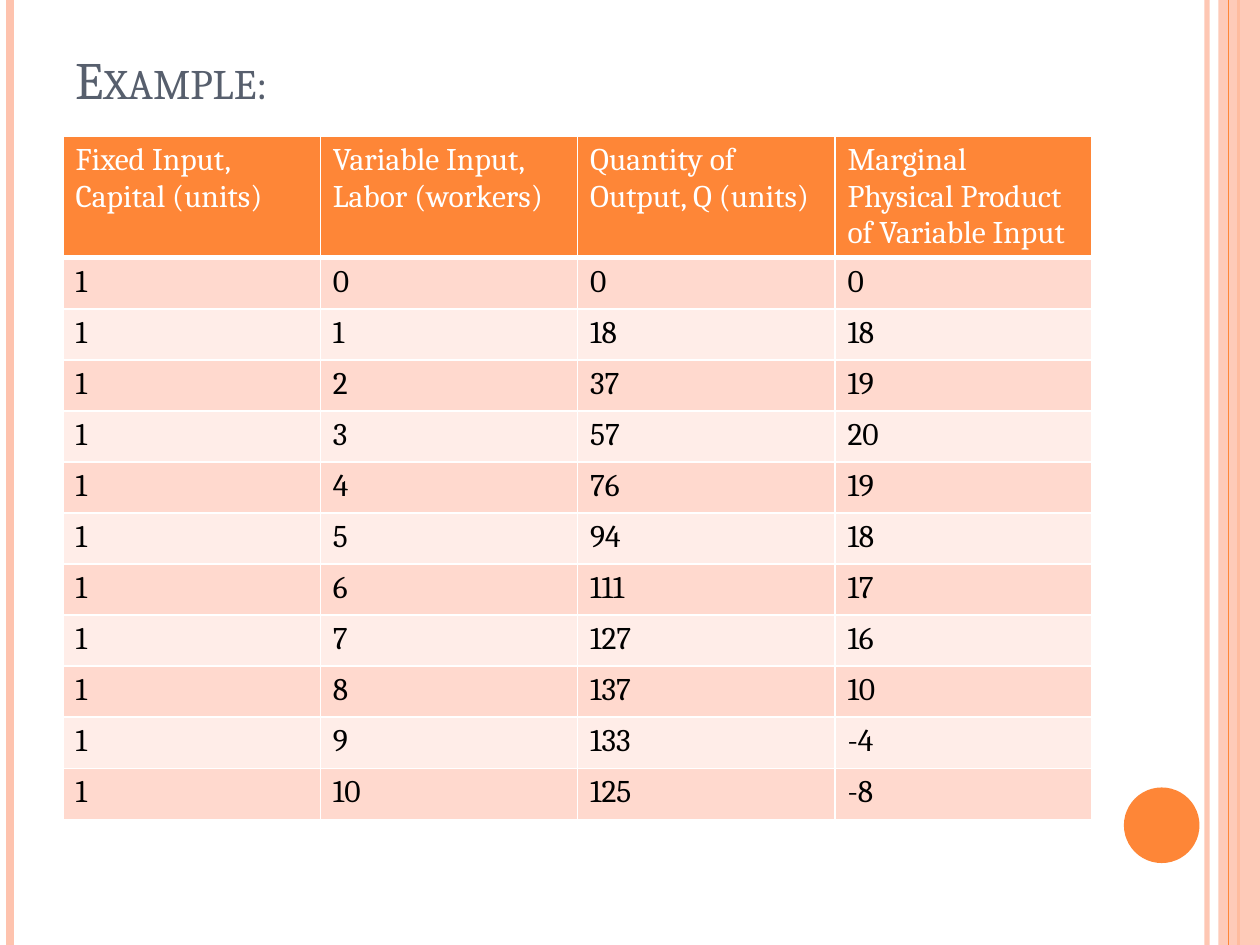
from lxml import etree
from pptx import Presentation
from pptx.dml.color import RGBColor
from pptx.enum.shapes import MSO_CONNECTOR, MSO_SHAPE
from pptx.enum.text import MSO_ANCHOR, PP_ALIGN
from pptx.oxml.ns import qn
from pptx.util import Inches, Pt

FONT = "Cambria"
ORANGE, PEACH, WHITE = "FE8637", "FEC3AE", "FFFFFF"
BANDS = ("FFD9CE", "FFEDE8")
HEADERS = (
    "Fixed Input, Capital (units)",
    "Variable Input, Labor (workers)",
    "Quantity of Output, Q (units)",
    "Marginal Physical Product of Variable Input",
)
OUTPUTS = (0, 18, 37, 57, 76, 94, 111, 127, 137, 133, 125)
MARGINALS = (0, 18, 19, 20, 19, 18, 17, 16, 10, -4, -8)


def rgb(color):
    return RGBColor.from_string(color)


def set_fill(obj, color):
    obj.fill.solid()
    obj.fill.fore_color.rgb = rgb(color)


def set_alpha(fill, percent):
    """Make a solid fill element partly transparent."""
    etree.SubElement(fill[0], qn("a:alpha"), val=str(percent * 1000))


def set_font(p, size, color):
    p.font.name = FONT
    p.font.size = Pt(size)
    p.font.color.rgb = rgb(color)


def add_rule(slide, x, top, height, color, width):
    """Draw a vertical line at x."""
    line = slide.shapes.add_connector(
        MSO_CONNECTOR.STRAIGHT, x, top, x, top + height)
    line.line.color.rgb = rgb(color)
    line.line.width = Pt(width)
    etree.SubElement(line._element.spPr, qn("a:effectLst"))
    return line


def add_solid(slide, shape, left, top, width, height, color):
    sp = slide.shapes.add_shape(shape, left, top, width, height)
    sp.shadow.inherit = False
    set_fill(sp, color)
    sp.line.fill.background()
    return sp


def add_frame(slide, left, top, width, height):
    """Draw the side rules, the right-hand band and the circle."""
    right = left + width
    soft = add_rule(slide, right - Inches(0.42), top, height, PEACH, 3)
    set_alpha(soft.line._ln.find(qn("a:solidFill")), 93)
    add_rule(slide, left + Inches(0.08), top, height, PEACH, 4.5)
    add_rule(slide, right - Inches(0.17), top, height, ORANGE, 1.5)
    band = add_solid(slide, MSO_SHAPE.RECTANGLE, right - Inches(0.33), top,
                     Inches(0.33), height, PEACH)
    set_alpha(band._element.spPr.find(qn("a:solidFill")), 87)
    add_rule(slide, right - Inches(0.25), top, height, ORANGE, 0.75)
    size = Inches(0.6)
    add_solid(slide, MSO_SHAPE.OVAL, right - Inches(1.08),
              top + height - Inches(1.25), size, size, ORANGE)


def place_title(slide, text, left, top, width, height):
    title = slide.shapes.title
    title.left, title.top, title.width, title.height = left, top, width, height
    tf = title.text_frame
    tf.text = text
    tf.word_wrap = True
    tf.vertical_anchor = MSO_ANCHOR.BOTTOM
    p = tf.paragraphs[0]
    p.alignment = PP_ALIGN.LEFT
    set_font(p, 30, "575F6D")
    p.runs[0]._r.get_or_add_rPr().set("cap", "small")


def set_borders(cell, bottom):
    """Give the cell white borders, 1 pt except at the bottom."""
    tc_pr = cell._tc.get_or_add_tcPr()
    widths = {"lnL": 1, "lnR": 1, "lnT": 1, "lnB": bottom}
    for i, (tag, width) in enumerate(widths.items()):
        ln = etree.Element(qn(f"a:{tag}"), w=str(Pt(width)))
        fill = etree.SubElement(ln, qn("a:solidFill"))
        etree.SubElement(fill, qn("a:srgbClr"), val=WHITE)
        tc_pr.insert(i, ln)


def fill_cell(cell, text, fill, color, bottom):
    cell.text = str(text)
    set_font(cell.text_frame.paragraphs[0], 18, color)
    set_fill(cell, fill)
    set_borders(cell, bottom)


def add_product_table(slide, left, top, width, height):
    rows = [HEADERS]
    rows += [(1, labor, *pair)
             for labor, pair in enumerate(zip(OUTPUTS, MARGINALS))]
    table = slide.shapes.add_table(
        len(rows), len(HEADERS), left, top, width, height).table
    header_height = Inches(0.96)
    body_height = (height - header_height) // (len(rows) - 1)
    for r, values in enumerate(rows):
        header = r == 0
        table.rows[r].height = header_height if header else body_height
        fill = ORANGE if header else BANDS[(r - 1) % 2]
        color = WHITE if header else "000000"
        for c, value in enumerate(values):
            fill_cell(table.cell(r, c), value, fill, color,
                      3 if header else 1)


def main():
    prs = Presentation()
    prs.slide_width, prs.slide_height = Inches(10), Inches(7.5)
    slide = prs.slides.add_slide(prs.slide_layouts[5])
    set_fill(slide.background, WHITE)
    add_frame(slide, 0, 0, prs.slide_width, prs.slide_height)
    left, width = Inches(0.5), Inches(8.17)
    place_title(slide, "Example:", left, Inches(0.3), width, Inches(0.62))
    add_product_table(slide, left, Inches(1.08), width, Inches(5.42))
    prs.save("out.pptx")


if __name__ == "__main__":
    main()
